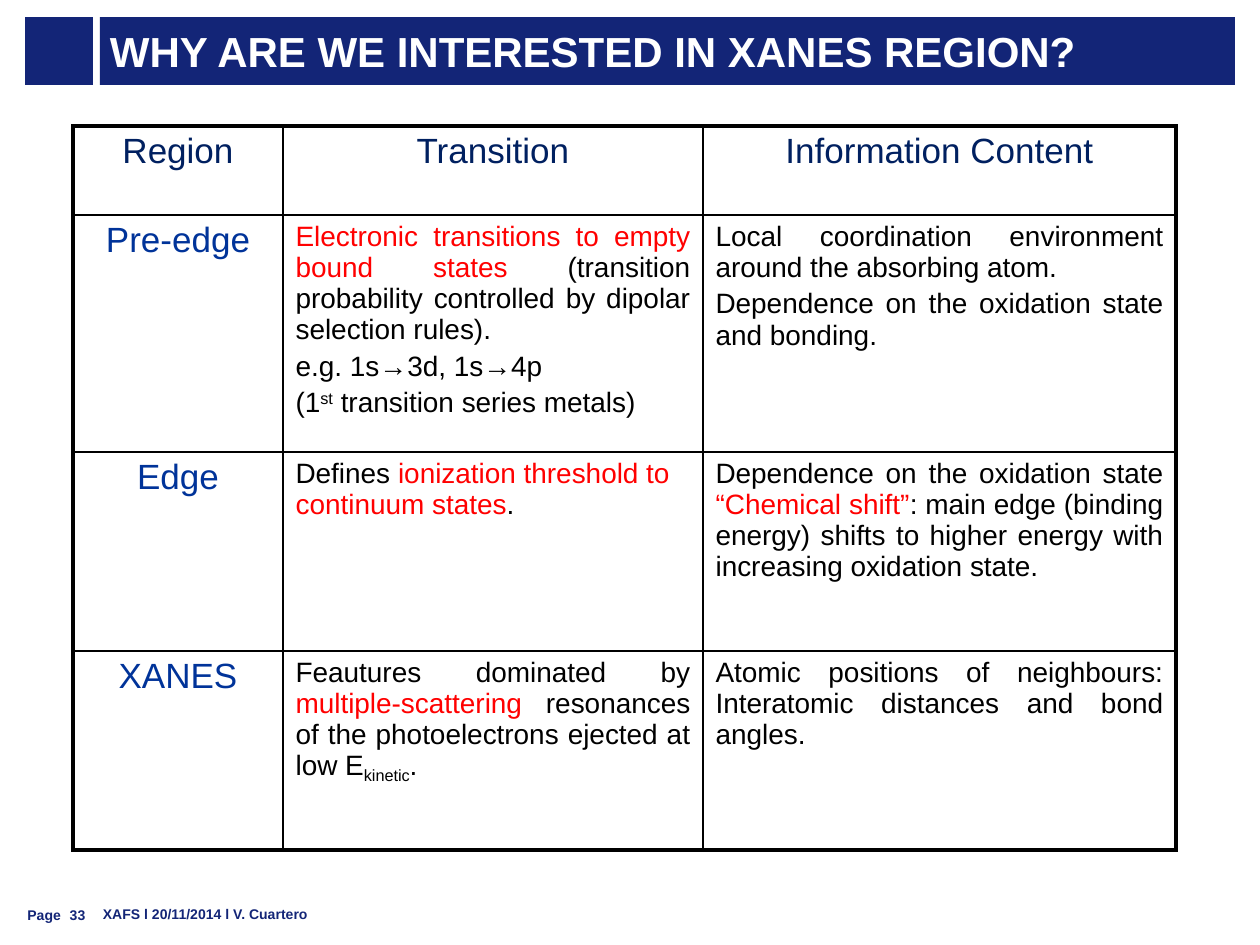
import pptx
import pptx.util
import pptx.dml.color
import pptx.enum.shapes
import pptx.enum.text
import pptx.oxml.ns
import lxml.etree

RGBColor = pptx.dml.color.RGBColor
Align = pptx.enum.text.PP_ALIGN
Anchor = pptx.enum.text.MSO_ANCHOR

NAVY = RGBColor(0x13, 0x25, 0x77)
HEADING = RGBColor(0x00, 0x20, 0x60)
BLUE = RGBColor(0x00, 0x33, 0x99)
RED = RGBColor(0xFF, 0x00, 0x00)
BLACK = RGBColor(0x00, 0x00, 0x00)
WHITE = RGBColor(0xFF, 0xFF, 0xFF)

FONT = "Arial"
PX = 914400 / 126
THICK, THIN = 2.25, 1
LABEL_SIZE, BODY_SIZE = 20, 16

TITLE = "WHY ARE WE INTERESTED IN XANES REGION?"
FOOTER = " XAFS l 20/11/2014 l V. Cuartero"
PAGE_NUMBER = [("Page", 8, NAVY, True), (" ", 18, BLACK, False), ("33", 8, NAVY, True)]

HEADERS = ["Region", "Transition", "Information Content"]
ROWS = [
    ("Pre-edge", Align.JUSTIFY,
     [[("Electronic transitions to empty bound states", RED),
       (" (transition probability controlled by dipolar selection rules).",)],
      [("e.g. 1s→3d, 1s→4p",)],
      [("(1",), ("st", BLACK, 30), (" transition series metals)",)]],
     [[("Local coordination environment around the absorbing atom.",)],
      [("Dependence on the oxidation state and bonding.",)]]),
    ("Edge", Align.LEFT,
     [[("Defines ",), ("ionization threshold to continuum states", RED), (".",)]],
     [[("Dependence on the oxidation state ",), ("“Chemical shift”", RED),
       (": main edge (binding energy) shifts to higher energy with increasing oxidation state.",)]]),
    ("XANES", Align.JUSTIFY,
     [[("Feautures dominated by ",), ("multiple-scattering", RED),
       (" resonances of the photoelectrons ejected at low E",),
       ("kinetic", BLACK, -20), (".",)]],
     [[("Atomic positions of neighbours: Interatomic distances and bond angles.",)]]),
]
TABLE_LEFT, TABLE_TOP = 73, 126
COLUMN_WIDTHS = [210, 420, 473]
ROW_HEIGHTS = [89, 237, 199, 199]


def px(length):
    return pptx.util.Emu(round(length * PX))


def add_span(para, text, size, color, bold=False, baseline=0):
    span = para.add_run()
    span.text = text
    span.font.name = FONT
    span.font.size = pptx.util.Pt(size)
    span.font.bold = bold
    span.font.color.rgb = color
    if baseline:
        span._r.get_or_add_rPr().set("baseline", str(baseline * 1000))


def add_block(page, left, top, width, height):
    block = page.shapes.add_shape(pptx.enum.shapes.MSO_SHAPE.RECTANGLE,
                                  px(left), px(top), px(width), px(height))
    block.shadow.inherit = False
    block.fill.solid()
    block.fill.fore_color.rgb = NAVY
    block.line.fill.background()
    return block


def add_text_box(page, left, top, width, height):
    box = page.shapes.add_textbox(px(left), px(top), px(width), px(height))
    box.text_frame.word_wrap = True
    return box.text_frame


def set_borders(cell, widths):
    properties = cell._tc.get_or_add_tcPr()
    for side, width in widths.items():
        line = lxml.etree.SubElement(properties, pptx.oxml.ns.qn("a:ln" + side),
                                     w=str(pptx.util.Pt(width)))
        fill = lxml.etree.SubElement(line, pptx.oxml.ns.qn("a:solidFill"))
        lxml.etree.SubElement(fill, pptx.oxml.ns.qn("a:srgbClr"), val=str(BLACK))


def fill_cell(cell, paragraphs, size, align):
    for index, spans in enumerate(paragraphs):
        para = cell.text_frame.paragraphs[0] if index == 0 else cell.text_frame.add_paragraph()
        para.alignment = align
        if index:
            para.space_before = pptx.util.Pt(3)
        for text, color, baseline in ((*span, BLACK, 0)[:3] if len(span) == 1
                                      else (*span, 0)[:3] for span in spans):
            add_span(para, text, size, color, baseline=baseline)


def add_region_table(page):
    contents = [[([[(text, HEADING)]], LABEL_SIZE, Align.CENTER) for text in HEADERS]]
    for region, align, transition, information in ROWS:
        contents.append([([[(region, BLUE)]], LABEL_SIZE, Align.CENTER),
                         (transition, BODY_SIZE, align),
                         (information, BODY_SIZE, Align.JUSTIFY)])
    last_row, last_column = len(ROW_HEIGHTS) - 1, len(COLUMN_WIDTHS) - 1
    table = page.shapes.add_table(last_row + 1, last_column + 1,
                                  px(TABLE_LEFT), px(TABLE_TOP),
                                  px(sum(COLUMN_WIDTHS)), px(sum(ROW_HEIGHTS))).table
    table.first_row = table.horz_banding = False
    for column, width in zip(table.columns, COLUMN_WIDTHS):
        column.width = px(width)
    for row, height in zip(table.rows, ROW_HEIGHTS):
        row.height = px(height)
    for r, row in enumerate(contents):
        for c, content in enumerate(row):
            cell = table.cell(r, c)
            set_borders(cell, {"L": THICK if c == 0 else THIN,
                               "R": THICK if c == last_column else THIN,
                               "T": THICK if r == 0 else THIN,
                               "B": THICK if r == last_row else THIN})
            cell.fill.background()
            fill_cell(cell, *content)


def main():
    deck = pptx.Presentation()
    deck.slide_width, deck.slide_height = px(1260), px(945)
    page = deck.slides.add_slide(deck.slide_layouts[6])

    add_block(page, 25, 17, 68, 68)
    title = add_block(page, 100, 17, 1135, 68).text_frame
    title.margin_left = title.margin_right = px(10)
    title.margin_top = title.margin_bottom = 0
    title.vertical_anchor = Anchor.MIDDLE
    title.paragraphs[0].alignment = Align.LEFT
    add_span(title.paragraphs[0], TITLE, 24, WHITE, True)

    footer = add_text_box(page, 99, 893, 843, 29)
    footer.margin_left = footer.margin_right = footer.margin_top = footer.margin_bottom = 0
    footer.vertical_anchor = Anchor.BOTTOM
    add_span(footer.paragraphs[0], FOOTER, 8, NAVY, True)

    number = add_text_box(page, 15, 883, 110, 65)
    for span in PAGE_NUMBER:
        add_span(number.paragraphs[0], *span)

    add_region_table(page)
    deck.save("out.pptx")


if __name__ == "__main__":
    main()
